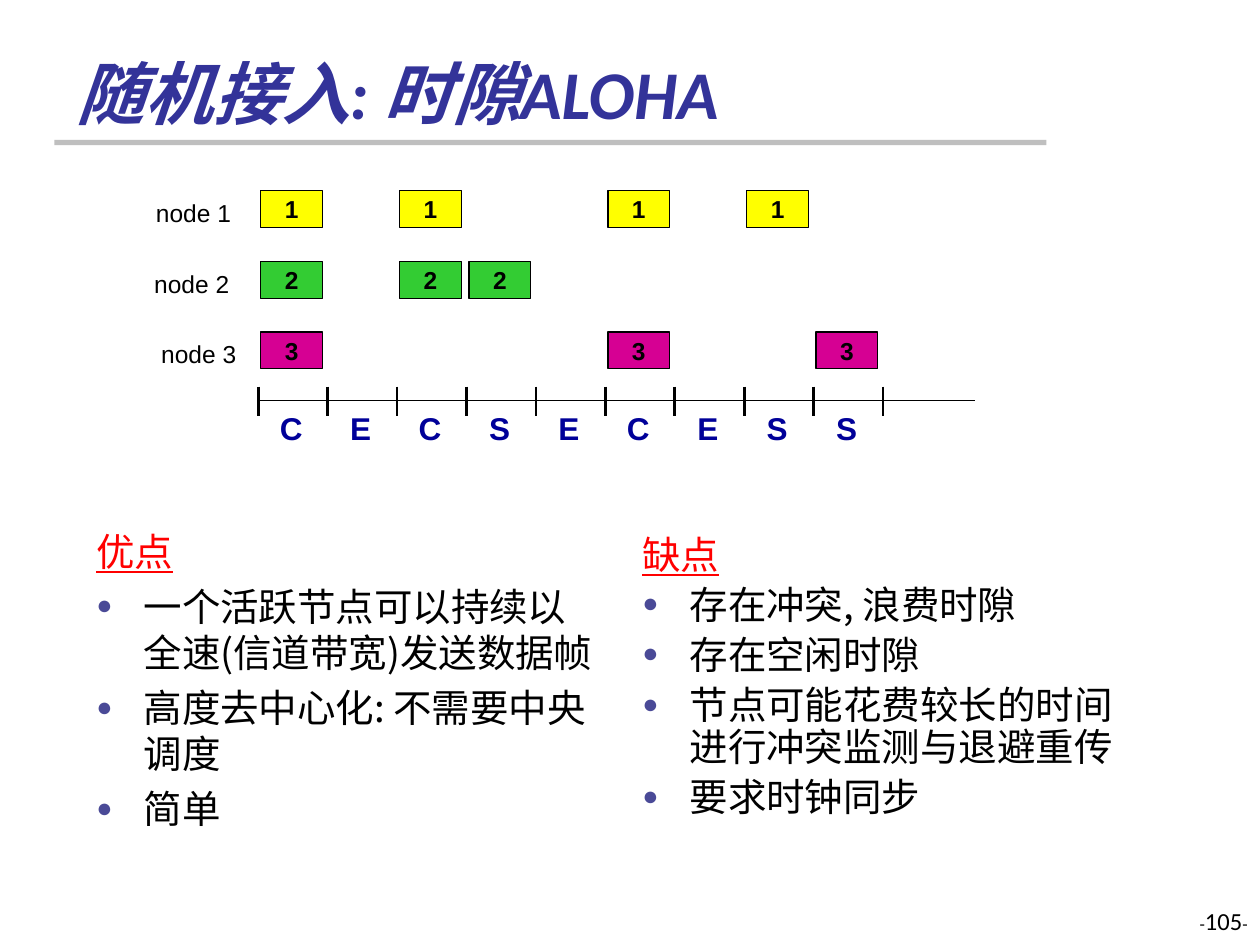
from dataclasses import dataclass

from lxml import etree
from pptx import Presentation
from pptx import util as u
from pptx.dml.color import RGBColor
from pptx.enum import shapes, text
from pptx.oxml import ns


@dataclass(frozen=True)
class Theme:
    latin: str = "Calibri"
    chinese: str = "Noto Sans CJK SC"
    diagram: str = "Arial"
    title: str = "333399"
    rule: str = "BFBFBF"
    ink: str = "000000"
    heading: str = "FF0000"
    bullet: str = "4A4A97"
    outcome: str = "000099"
    title_size: float = 39
    body_size: float = 22
    outcome_size: float = 18
    label_size: float = 14
    dash_size: float = 10


class SlideBuilder:
    def __init__(self, slide, theme):
        self.slide = slide
        self.theme = theme

    def style(self, paragraph, size, color, name, bold=None, italic=None, underline=None):
        font = paragraph.font
        font.size = u.Pt(size)
        font.name = name
        font.bold, font.italic, font.underline = bold, italic, underline
        font.color.rgb = RGBColor.from_string(color)
        properties = paragraph._p.pPr.find(ns.qn("a:defRPr"))
        east_asian = etree.SubElement(properties, ns.qn("a:ea"))
        east_asian.set("typeface", self.theme.chinese)

    def bullet(self, paragraph):
        properties = paragraph._p.get_or_add_pPr()
        color = etree.SubElement(properties, ns.qn("a:buClr"))
        etree.SubElement(color, ns.qn("a:srgbClr"), val=self.theme.bullet)
        etree.SubElement(properties, ns.qn("a:buSzPct"), val="70000")
        etree.SubElement(properties, ns.qn("a:buFont"), typeface=self.theme.diagram)
        etree.SubElement(properties, ns.qn("a:buChar"), char="●")

    def text_frame(self, left, top, width, height):
        shape = self.slide.shapes.add_textbox(*map(u.Pt, (left, top, width, height)))
        shape.text_frame.word_wrap = True
        return shape.text_frame

    def label(self, content, left, top, width, height, size, color, name,
              align=text.PP_ALIGN.LEFT, **emphasis):
        frame = self.text_frame(left, top, width, height)
        paragraph = frame.paragraphs[0]
        paragraph.text = content
        paragraph.alignment = align
        self.style(paragraph, size, color, name, **emphasis)
        return frame

    def rectangle(self, left, top, width, height, fill, outline=None):
        shape = self.slide.shapes.add_shape(
            shapes.MSO_SHAPE.RECTANGLE, *map(u.Pt, (left, top, width, height)))
        shape.shadow.inherit = False
        shape.fill.solid()
        shape.fill.fore_color.rgb = RGBColor.from_string(fill)
        if outline:
            shape.line.color.rgb = RGBColor.from_string(outline)
            shape.line.width = u.Pt(0.75)
        else:
            shape.line.fill.background()
        return shape

    def frame_box(self, number, left, top, width, height, fill):
        shape = self.rectangle(left, top, width, height, fill, self.theme.ink)
        frame = shape.text_frame
        frame.margin_top = frame.margin_bottom = 0
        frame.vertical_anchor = text.MSO_ANCHOR.MIDDLE
        paragraph = frame.paragraphs[0]
        paragraph.text = number
        paragraph.alignment = text.PP_ALIGN.CENTER
        self.style(paragraph, self.theme.label_size, self.theme.ink,
                   self.theme.diagram, bold=True)

    def line(self, x1, y1, x2, y2, width):
        connector = self.slide.shapes.add_connector(
            shapes.MSO_CONNECTOR.STRAIGHT, *map(u.Pt, (x1, y1, x2, y2)))
        connector.line.color.rgb = RGBColor.from_string(self.theme.ink)
        connector.line.width = u.Pt(width)
        etree.SubElement(connector._element.spPr, ns.qn("a:effectLst"))

    def bullet_list(self, heading, items, left, top, width, height, line_height):
        frame = self.text_frame(left, top, width, height)
        for index, content in enumerate([heading, *items]):
            paragraph = frame.paragraphs[0] if index == 0 else frame.add_paragraph()
            paragraph.text = content
            paragraph.line_spacing = u.Pt(line_height)
            properties = paragraph._p.get_or_add_pPr()
            properties.set("marL", str(u.Pt(27)))
            properties.set("indent", str(u.Pt(-27)))
            if index:
                paragraph.space_before = u.Pt(4.6)
                self.bullet(paragraph)
            self.style(paragraph, self.theme.body_size,
                       self.theme.ink if index else self.theme.heading,
                       self.theme.chinese, underline=index == 0)

    def page_number(self, number, left, top, width, height):
        frame = self.text_frame(left, top, width, height)
        paragraph = frame.paragraphs[0]
        paragraph.alignment = text.PP_ALIGN.RIGHT
        self.style(paragraph, self.theme.dash_size, self.theme.ink, self.theme.latin)
        for content, size in (("-", self.theme.dash_size),
                              (number, self.theme.label_size),
                              ("-", self.theme.dash_size)):
            run = paragraph.add_run()
            run.text = content
            run.font.size = u.Pt(size)


def add_timeline(builder):
    theme = builder.theme
    start, slot, axis = 147.6, 39.67, 229
    nodes = (
        ("1", 82, 109, "FFFF00", (0, 2, 5, 7)),
        ("2", 81, 149.5, "33CC33", (0, 2, 3)),
        ("3", 85, 189.7, "D60093", (0, 5, 8)),
    )
    for number, label_left, top, fill, slots in nodes:
        builder.label(f"node {number}", label_left, top + 0.4, 62, 24,
                      theme.label_size, theme.ink, theme.diagram)
        for index in slots:
            builder.frame_box(number, start + index * slot + 1.4, top, 35.3, 21, fill)

    outcomes = "CECSECESS"
    builder.line(start, axis, 557, axis, 0.75)
    for index in range(len(outcomes) + 1):
        x = start + index * slot
        builder.line(x, 221, x, 238, 1.5)
    for index, outcome in enumerate(outcomes):
        builder.label(outcome, start + index * slot - 1, 230, slot, 29,
                      theme.outcome_size, theme.outcome, theme.diagram,
                      align=text.PP_ALIGN.CENTER, bold=True)


def main():
    presentation = Presentation()
    presentation.slide_width, presentation.slide_height = u.Pt(720), u.Pt(540)
    slide = presentation.slides.add_slide(presentation.slide_layouts[6])
    theme = Theme()
    builder = SlideBuilder(slide, theme)

    builder.rectangle(31, 80, 567, 3, theme.rule)
    title = builder.label("随机接入: 时隙ALOHA", 36.7, 20, 594, 56, theme.title_size,
                          theme.title, theme.latin, bold=True, italic=True)
    title.vertical_anchor = text.MSO_ANCHOR.BOTTOM
    title.margin_bottom = 0

    add_timeline(builder)
    builder.bullet_list(
        "优点",
        ("一个活跃节点可以持续以全速(信道带宽)发送数据帧",
         "高度去中心化: 不需要中央调度",
         "简单"),
        48, 298, 300, 213, 26.6)
    builder.bullet_list(
        "缺点",
        ("存在冲突, 浪费时隙",
         "存在空闲时隙",
         "节点可能花费较长的时间进行冲突监测与退避重传",
         "要求时钟同步"),
        360, 302, 300, 212, 24)
    builder.page_number("105", 552, 514, 168, 36)
    presentation.save("out.pptx")


if __name__ == "__main__":
    main()
